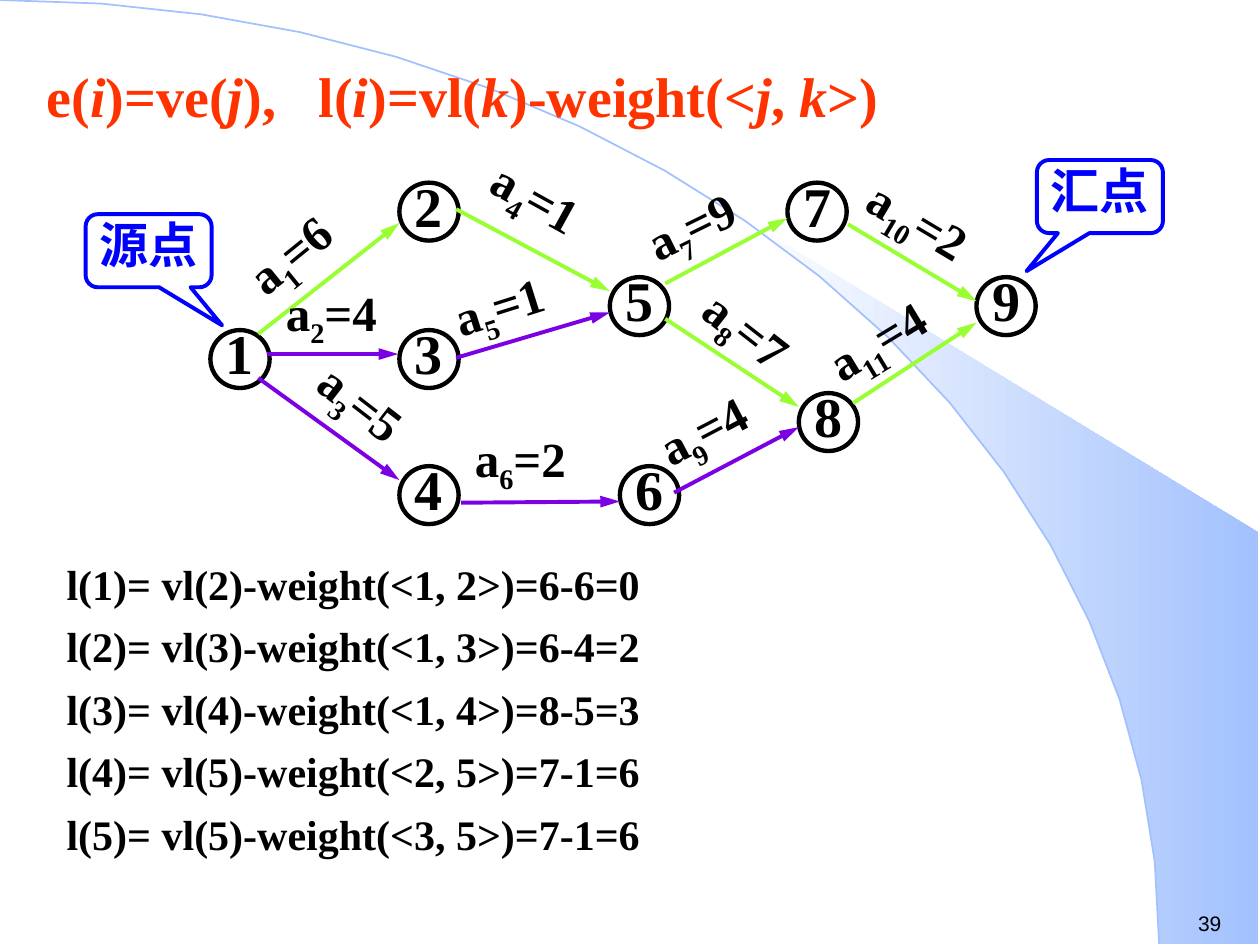
"""Build the activity-network slide with its latest-start calculations."""
from math import cos, radians, sin

from pptx import Presentation
from pptx.dml.color import RGBColor
from pptx.enum.shapes import MSO_CONNECTOR as Connector, MSO_SHAPE as Shape
from pptx.enum.text import MSO_ANCHOR as Anchor, PP_ALIGN as Align
from pptx.oxml.ns import qn
from pptx.oxml.xmlchemy import OxmlElement
from pptx.util import Inches, Pt

COLORS = {
    "title": "FF3300", "text": "000000", "callout": "0000FF", "band": "A2C1FE",
    "white": "FFFFFF", "critical": "99FF33", "slack": "7B00E4",
}
SERIF = "Times New Roman"


def color(name):
    return RGBColor.from_string(COLORS[name])


def add_run(paragraph, text, size, color_name="text", bold=True, name=SERIF):
    run = paragraph.add_run()
    run.text = text
    run.font.name, run.font.size, run.font.bold = name, Pt(size), bold
    run.font.color.rgb = color(color_name)
    return run


presentation = Presentation()
presentation.slide_width, presentation.slide_height = Inches(10), Inches(7.5)
slide = presentation.slides.add_slide(presentation.slide_layouts[5])
shapes = slide.shapes

arc = [(9.2 * cos(radians(angle)), 7.49 - 7.49 * sin(radians(angle))) for angle in range(0, 91, 5)]
band_outline = [(9.99, 7.49), (9.99, 4.23), (5.89, 1.73)] + arc[10::-1]
for outline, closed in ((band_outline, True), (arc, False)):
    points = [(Inches(x), Inches(y)) for x, y in outline]
    builder = shapes.build_freeform(*points[0])
    builder.add_line_segments(points[1:], close=closed)
    shape = builder.convert_to_shape()
    shape.shadow.inherit = False
    if closed:
        shape.fill.gradient()
        shape.fill.gradient_angle = 0
        for stop, name in zip(shape.fill.gradient_stops, ("white", "band")):
            stop.color.rgb = color(name)
        shape.line.fill.background()
    else:
        shape.fill.background()
        shape.line.color.rgb = color("band")
        shape.line.width = Pt(1)

title = shapes.title
title._element.getparent().append(title._element)
title.left, title.top, title.width, title.height = map(Inches, (0.27, 0.44, 7.09, 0.63))
title.text_frame.vertical_anchor = Anchor.TOP
title.text_frame.word_wrap = True
paragraph = title.text_frame.paragraphs[0]
paragraph.alignment = Align.LEFT
tab_list, tab = OxmlElement("a:tabLst"), OxmlElement("a:tab")
tab.set("pos", str(Inches(2.16)))
tab.set("algn", "l")
tab_list.append(tab)
paragraph._p.get_or_add_pPr().append(tab_list)
title_parts = ["e(", "i", ")=ve(", "j", "),\tl(", "i", ")=vl(", "k", ")-weight(<", "j", ", ", "k", ">)"]
for index, part in enumerate(title_parts):
    add_run(paragraph, part, 32, "title").font.italic = index % 2 == 1

number_box = shapes.add_textbox(Inches(9.41), Inches(7.18), Inches(0.59), Inches(0.3))
number_box.text_frame.word_wrap = True
add_run(number_box.text_frame.paragraphs[0], "39", 12, bold=False, name="Arial")

calculations = [
    "l(1)= vl(2)-weight(<1, 2>)=6-6=0",
    "l(2)= vl(3)-weight(<1, 3>)=6-4=2",
    "l(3)= vl(4)-weight(<1, 4>)=8-5=3",
    "l(4)= vl(5)-weight(<2, 5>)=7-1=6",
    "l(5)= vl(5)-weight(<3, 5>)=7-1=6",
]
frame = shapes.add_textbox(Inches(0.43), Inches(4.3), Inches(8.66), Inches(2.6)).text_frame
frame.word_wrap = True
for index, calculation in enumerate(calculations):
    paragraph = frame.add_paragraph() if index else frame.paragraphs[0]
    paragraph.line_spacing = 1.2
    paragraph.space_before = Pt(1.2 if index else 0)
    add_run(paragraph, calculation, 24)

nodes = [
    (1.67, 2.62), (3.17, 1.45), (3.17, 2.62), (3.17, 3.7), (4.84, 2.2),
    (4.92, 3.7), (6.25, 1.45), (6.34, 3.12), (7.75, 2.2),
]
node_specs = [
    (Shape.OVAL, x, y, 0.47, 0.46, str(number), 32, "text", 2.5, Anchor.MIDDLE, 0.11)
    for number, (x, y) in enumerate(nodes, 1)
]
callout_specs = [
    (Shape.ROUNDED_RECTANGULAR_CALLOUT, x, y, 1, 0.58, text, 28, "callout", 2.25, Anchor.MIDDLE, 0.11)
    for x, y, text in ((8.23, 1.27, "汇点"), (0.68, 1.7, "源点"))
]
pointers = {"汇点": -0.583, "源点": 0.583}
for kind, x, y, width, height, text, size, name, weight, anchor, bottom in node_specs + callout_specs:
    shape = shapes.add_shape(kind, Inches(x), Inches(y), Inches(width), Inches(height))
    shape.shadow.inherit = False
    shape.fill.background()
    shape.line.color.rgb = color(name)
    shape.line.width = Pt(weight)
    if text in pointers:
        shape.adjustments[0], shape.adjustments[1] = pointers[text], 1.021
    frame = shape.text_frame
    frame.word_wrap = False
    frame.vertical_anchor = anchor
    frame.margin_left = frame.margin_right = frame.margin_top = 0
    frame.margin_bottom = Inches(bottom)
    frame.paragraphs[0].alignment = Align.CENTER
    add_run(frame.paragraphs[0], text, size, name)

activities = [
    (6, 1.81, 1.65, 1.17, 320.9, (2.05, 2.65), (3.17, 1.77), "critical"),
    (4, 2.17, 2.19, 1.42, 0, (2.12, 2.81), (3.16, 2.81), "slack"),
    (5, 2.36, 3.06, 1.42, 37.7, (2.05, 3), (3.17, 3.81), "slack"),
    (1, 3.77, 1.4, 1.42, 28.9, (3.62, 1.66), (4.84, 2.31), "critical"),
    (1, 3.49, 2.06, 1.42, 342.4, (3.62, 2.84), (4.84, 2.48), "slack"),
    (2, 3.67, 3.35, 1.42, 0, (3.66, 3.99), (4.92, 3.98), "slack"),
    (9, 5, 1.39, 1.42, 333.8, (5.28, 2.25), (6.25, 1.73), "critical"),
    (7, 5.42, 2.48, 1.42, 38, (5.28, 2.53), (6.34, 3.23), "critical"),
    (4, 5.09, 3.01, 1.42, 332.4, (5.35, 3.91), (6.34, 3.39), "slack"),
    (2, 6.75, 1.56, 1.42, 30.9, (6.73, 1.78), (7.75, 2.39), "critical"),
    (4, 6.42, 2.31, 1.42, 328.8, (6.77, 3.2), (7.75, 2.56), "critical"),
]
for number, (weight, x, y, width, rotation, start, end, name) in enumerate(activities, 1):
    connector = shapes.add_connector(Connector.STRAIGHT, *map(Inches, start + end))
    connector.line.color.rgb = color(name)
    connector.line.width = Pt(2.25)
    arrowhead = OxmlElement("a:tailEnd")
    arrowhead.set("type", "triangle")
    arrowhead.set("len", "lg")
    properties = connector._element.spPr
    properties.find(qn("a:ln")).append(arrowhead)
    properties.append(OxmlElement("a:effectLst"))

    label = shapes.add_textbox(Inches(x), Inches(y), Inches(width), Inches(0.57))
    label.rotation = rotation
    label.text_frame.word_wrap = True
    paragraph = label.text_frame.paragraphs[0]
    add_run(paragraph, "a", 28)
    subscript = add_run(paragraph, str(number), 28)
    subscript.font._element.set("baseline", "-25000")
    add_run(paragraph, f"={weight}", 28)

presentation.save("out.pptx")
